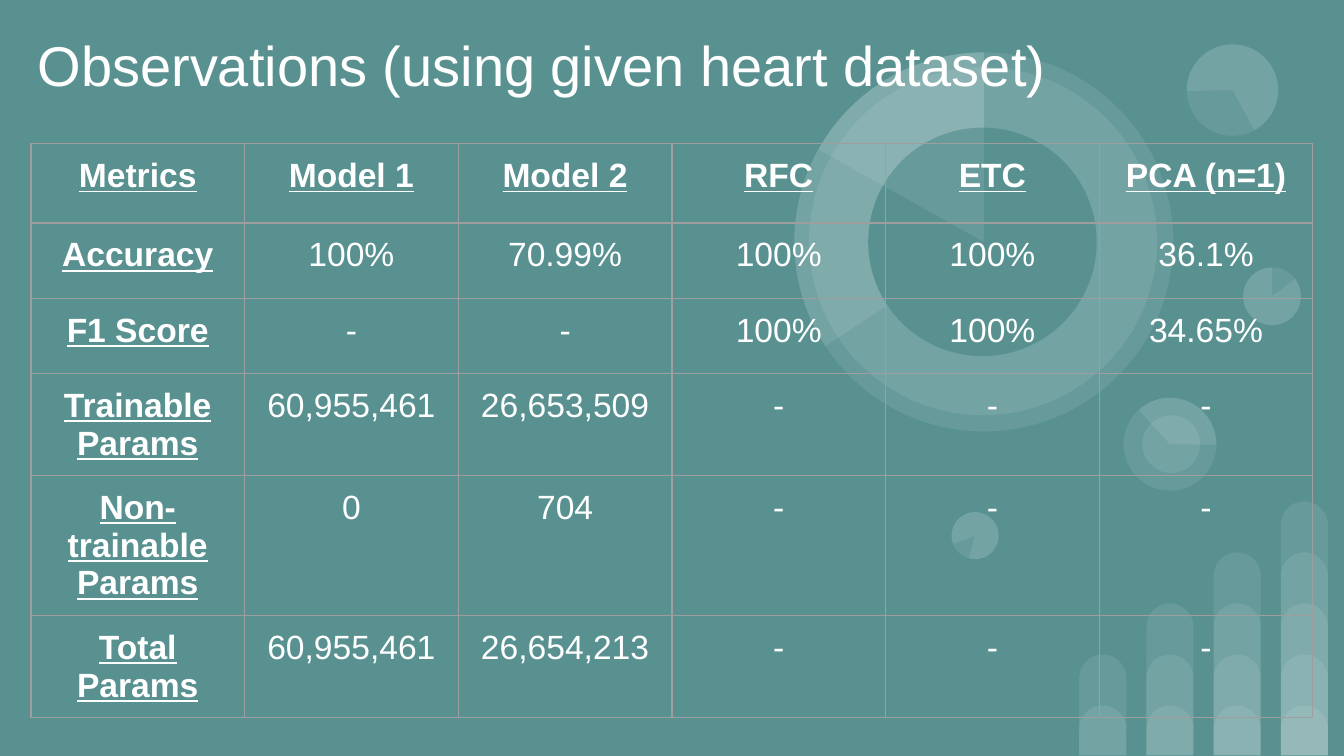
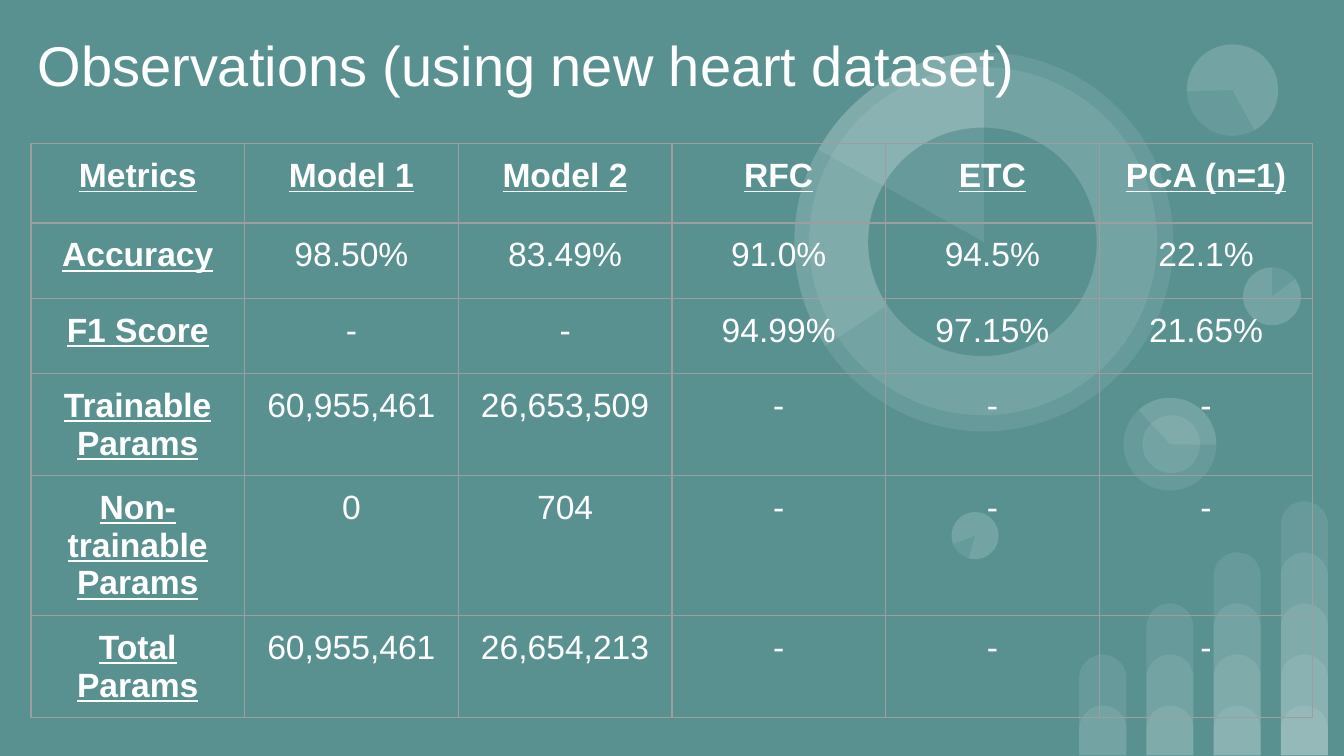
"""Build two slides of model results on a shared chart-themed background."""
from dataclasses import dataclass

from lxml.etree import SubElement
from pptx import Presentation
from pptx.dml.color import RGBColor
from pptx.enum.shapes import MSO_SHAPE as Shape
from pptx.enum.text import MSO_ANCHOR as Anchor, MSO_AUTO_SIZE as AutoSize, PP_ALIGN as Align
from pptx.oxml import parse_xml
from pptx.oxml.ns import nsdecls, qn
from pptx.util import Inches, Pt


@dataclass(frozen=True)
class Theme:
    background: str = "599191"
    text: str = "FFFFFF"
    border: str = "9E9E9E"
    border_width: float = 0.75
    font: str = "Arial"
    title_size: int = 30
    table_size: int = 18
    opacity: int = 9
    margin: float = 0.1


theme = Theme()


def write_text(frame, text, size, align, bold=False, underline=False, spacing=None):
    """Fill a text frame with one formatted paragraph."""
    frame.word_wrap = True
    paragraph = frame.paragraphs[0]
    paragraph.alignment = align
    paragraph.line_spacing = spacing
    run = paragraph.add_run()
    run.text = text
    run.font.name = theme.font
    run.font.size = Pt(size)
    run.font.bold = bold
    run.font.underline = underline
    run.font.color.rgb = RGBColor.from_string(theme.text)


def add_decoration(group, kind, left, top, width, height, rotation=0, adjustments=(), solid=False):
    """Add a background shape, translucent white unless solid."""
    shape = group.shapes.add_shape(kind, Inches(left), Inches(top), Inches(width), Inches(height))
    shape.rotation = rotation
    shape.shadow.inherit = False
    shape.line.fill.background()
    shape.fill.solid()
    shape.fill.fore_color.rgb = RGBColor.from_string(theme.background if solid else theme.text)
    for index, value in enumerate(adjustments):
        shape.adjustments[index] = value
    if not solid:
        color = shape.element.find(".//" + qn("a:srgbClr"))
        SubElement(color, qn("a:alpha")).set("val", str(theme.opacity * 1000))


header = ["Metrics", "Model 1", "Model 2", "RFC", "ETC", "PCA (n=1)"]
parameter_rows = [
    ["Trainable Params", "60,955,461", "26,653,509", "-", "-", "-"],
    ["Non-trainable Params", "0", "704", "-", "-", "-"],
    ["Total Params", "60,955,461", "26,654,213", "-", "-", "-"],
]
observations = [
    ("Observations (using given heart dataset)", [
        ["Accuracy", "100%", "70.99%", "100%", "100%", "36.1%"],
        ["F1 Score", "-", "-", "100%", "100%", "34.65%"],
    ]),
    ("Observations (using new heart dataset)", [
        ["Accuracy", "98.50%", "83.49%", "91.0%", "94.5%", "22.1%"],
        ["F1 Score", "-", "-", "94.99%", "97.15%", "21.65%"],
    ]),
]
row_heights = [0.59, 0.56, 0.56, 0.56, 0.56, 0.65]
column_width = 1.59

circles = [
    (Shape.OVAL, 9.25, 1.99, 0.43, 0, ()),
    (Shape.OVAL, 7.08, 3.81, 0.35, 196.2, ()),
    (Shape.OVAL, 8.36, 2.96, 0.69, 90, ()),
    (Shape.PIE, 8.36, 2.96, 0.69, 90, (82.45, 162.46)),
    (Shape.OVAL, 8.5, 3.09, 0.43, 90, ()),
    (Shape.PIE, 9.25, 1.99, 0.43, 0, (193.77, 162)),
    (Shape.OVAL, 8.83, 0.33, 0.68, 215.9, ()),
    (Shape.PIE, 8.83, 0.33, 0.68, 215.9, (193.77, 123.14)),
    (Shape.OVAL, 5.91, 0.39, 2.82, 0, ()),
    (Shape.OVAL, 6.02, 0.5, 2.59, 34.1, ()),
    (Shape.PIE, 5.91, 0.39, 2.82, 0, (88.01, 162)),
    ("hole", 6.46, 0.95, 1.7, 34.1, ()),
    (Shape.PIE, 5.91, 0.39, 2.82, 0, (125.54, 162)),
    (Shape.PIE, 7.08, 3.81, 0.35, 196.2, (193.77, 162)),
]

presentation = Presentation()
presentation.slide_width = Inches(10)
presentation.slide_height = presentation.slide_width * 9 // 16
background = presentation.slide_master.background.fill
background.solid()
background.fore_color.rgb = RGBColor.from_string(theme.background)

layout = presentation.slide_layouts.get_by_name("Title Only")
layout_tree = layout.shapes.element
for placeholder in list(layout.placeholders):
    if placeholder.placeholder_format.idx != 0:
        layout_tree.remove(placeholder.element)

for slide_index, (title_text, score_rows) in enumerate(observations):
    slide = presentation.slides.add_slide(layout)

    if slide_index == 0:
        decoration = slide.shapes.add_group_shape()
        for column in range(4):
            for level in range(column + 2):
                height = 0.37 + 0.38 * level
                add_decoration(decoration, Shape.ROUND_2_SAME_RECTANGLE, 8.03 + 0.5 * column,
                               5.62 - height, 0.35, height, adjustments=(0.5, 0))
        for kind, left, top, size, rotation, angles in circles:
            solid = kind == "hole"
            add_decoration(decoration, Shape.OVAL if solid else kind, left, top, size, size,
                           rotation, angles, solid)
        layout_tree.insert(2, decoration.element)

    title = slide.shapes.title
    title.left, title.top = Inches(0.18), Inches(0.03)
    title.width, title.height = Inches(8.5), Inches(0.82)
    frame = title.text_frame
    frame.auto_size = AutoSize.NONE
    frame.vertical_anchor = Anchor.MIDDLE
    frame.margin_left = frame.margin_right = Inches(theme.margin)
    frame.margin_top = frame.margin_bottom = Inches(theme.margin)
    write_text(frame, title_text, theme.title_size, Align.LEFT, spacing=1.15)

    rows = [header] + score_rows + parameter_rows
    table = slide.shapes.add_table(
        len(rows), len(header), Inches(0.23), Inches(1.07),
        Inches(column_width * len(header)), Inches(sum(row_heights))).table
    table.first_row = table.horz_banding = False
    for column in table.columns:
        column.width = Inches(column_width)
    for row_index, values in enumerate(rows):
        table.rows[row_index].height = Inches(row_heights[row_index])
        for column_index, value in enumerate(values):
            cell = table.cell(row_index, column_index)
            cell.fill.background()
            cell.margin_left = cell.margin_right = Inches(theme.margin)
            cell.margin_top = cell.margin_bottom = Inches(theme.margin)
            heading = row_index == 0 or column_index == 0
            write_text(cell.text_frame, value, theme.table_size, Align.CENTER,
                       bold=heading, underline=heading)
            properties = cell._tc.get_or_add_tcPr()
            for position, side in enumerate("LRTB"):
                properties.insert(position, parse_xml(
                    f'<a:ln{side} {nsdecls("a")} w="{Pt(theme.border_width)}"><a:solidFill>'
                    f'<a:srgbClr val="{theme.border}"/></a:solidFill></a:ln{side}>'))

presentation.save("out.pptx")
